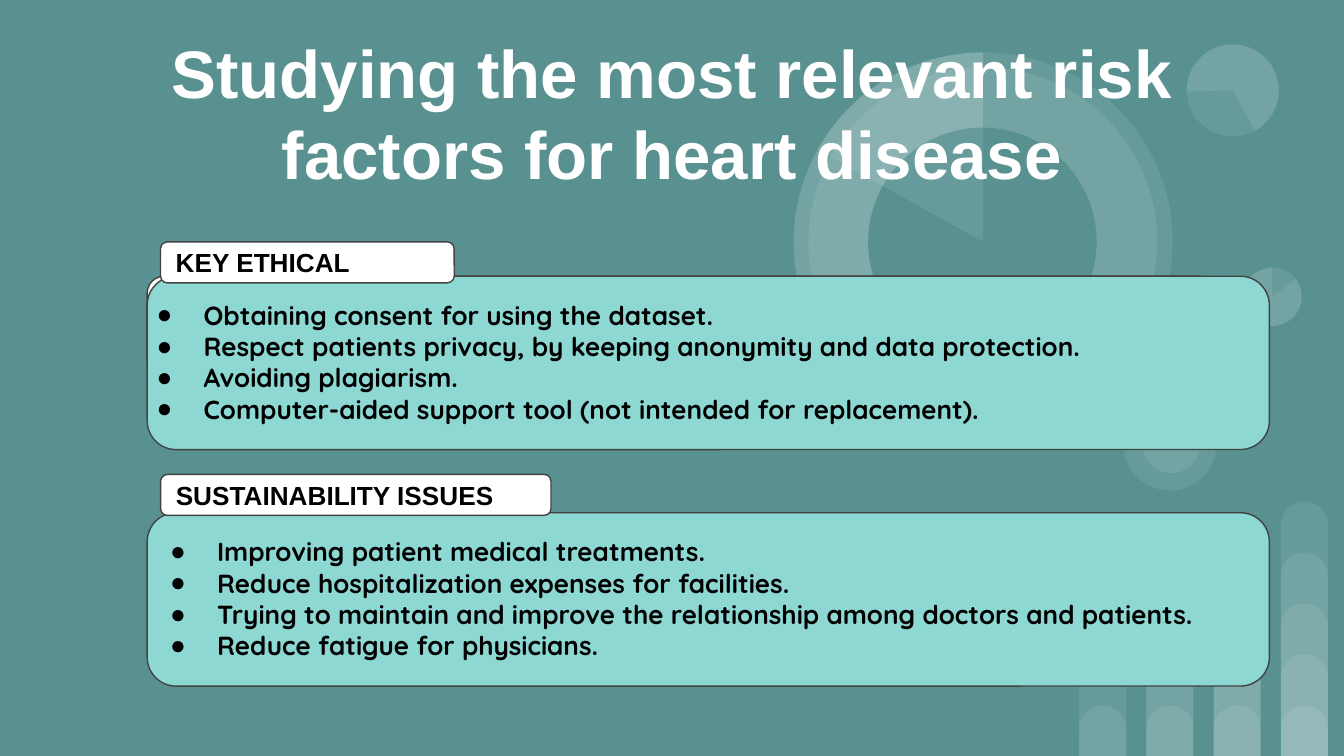
from lxml.etree import SubElement
from pptx import Presentation
from pptx.dml.color import RGBColor
from pptx.enum.shapes import MSO_SHAPE as Kind
from pptx.enum.text import MSO_ANCHOR as Anchor, MSO_AUTO_SIZE as Fit, PP_ALIGN as Align
from pptx.oxml.ns import qn
from pptx.util import Pt

SCALE = 4572
WIDE, HIGH = 2000, 1125
TEAL, MINT, WHITE, BLACK, EDGE = "599191", "8DD8D3", "FFFFFF", "000000", "424242"


def px(n):
    """Turn px into EMU."""
    return n * SCALE


def color(code):
    """Make a colour from a hex string."""
    return RGBColor.from_string(code)


def draw(slide, kind, box, fill, line=None, alpha=None, adj=(), turn=0):
    """Add one filled preset shape."""
    shape = slide.shapes.add_shape(kind, *map(px, box))
    shape.shadow.inherit = False
    shape.rotation = turn
    shape.fill.solid()
    shape.fill.fore_color.rgb = color(fill)
    if alpha:
        tint = shape.element.spPr.find(".//" + qn("a:srgbClr"))
        SubElement(tint, qn("a:alpha"), val=str(alpha * 1000))
    if line:
        shape.line.color.rgb = color(line)
        shape.line.width = Pt(0.75)
    else:
        shape.line.fill.background()
    for i, value in enumerate(adj):
        shape.adjustments[i] = value
    return shape


def card(slide, box, fill):
    """Add an outlined rounded box."""
    return draw(slide, Kind.ROUNDED_RECTANGLE, box, fill, EDGE, adj=[0.167])


def inset(frame):
    """Set equal margins and wrapping."""
    frame.word_wrap = True
    frame.margin_left = frame.margin_right = px(20)
    frame.margin_top = frame.margin_bottom = px(20)


def style(para, name, size, code):
    """Set the bold font of a paragraph."""
    para.font.name, para.font.size, para.font.bold = name, Pt(size), True
    para.font.color.rgb = color(code)


def place(shape, box):
    """Move and size a placeholder."""
    shape.left, shape.top, shape.width, shape.height = map(px, box)


def bars(slide, left, base):
    """Draw the stacked faint bars, each column one taller."""
    for col in range(4):
        for step in range(col + 2):
            tall = 75 + 76 * step
            box = (left + 100 * col, base - tall, 70, tall)
            draw(slide, Kind.ROUND_2_SAME_RECTANGLE, box, WHITE, alpha=9, adj=[0.5, 0])


def disc(slide, x, y, size):
    """Draw a faint disc."""
    draw(slide, Kind.OVAL, (x, y, size, size), WHITE, alpha=9)


def wedge(slide, x, y, size, start, end=270, turn=0):
    """Draw a faint pie between two angles in degrees."""
    adj = [start * 0.6, end * 0.6]
    draw(slide, Kind.PIE, (x, y, size, size), WHITE, alpha=9, adj=adj, turn=turn)


def pies(slide):
    """Draw the small pies."""
    for x, y, size, start, end, turn in [
        (1850, 398, 87, 322.95, 270, 0),
        (1416, 762, 70, 322.95, 270, 196.2),
        (1672, 592, 138, 137.41, 270.77, 90),
        (1766, 66, 137, 322.95, 205.23, 215.9),
    ]:
        disc(slide, x, y, size)
        wedge(slide, x, y, size, start, end, turn)
    disc(slide, 1700, 618, 86)


def ring(slide, x, y, size):
    """Draw the large ring with its wedges."""
    disc(slide, x, y, size)
    disc(slide, x + 22, y + 22, size - 45)
    wedge(slide, x, y, size, 146.69)
    draw(slide, Kind.OVAL, (x + 111, y + 112, 340, 340), TEAL)
    wedge(slide, x, y, size, 209.23)


def head(slide, box, text):
    """Fill the title and bring it forward."""
    title = slide.shapes.title
    place(title, box)
    frame = title.text_frame
    frame.text = text
    inset(frame)
    frame.auto_size = Fit.NONE
    frame.vertical_anchor = Anchor.MIDDLE
    para = frame.paragraphs[0]
    para.alignment = Align.CENTER
    style(para, "Arial", 36, WHITE)
    title.element.getparent().append(title.element)


def bullet(para):
    """Give a paragraph a hanging round bullet."""
    props = para._p.get_or_add_pPr()
    props.set("marL", str(px(100)))
    props.set("indent", str(px(-70)))
    tint = SubElement(props, qn("a:buClr"))
    SubElement(tint, qn("a:srgbClr"), val=BLACK)
    SubElement(props, qn("a:buChar"), char="●")


def points(body, box, lines):
    """Fill a body placeholder with bullets."""
    place(body, box)
    frame = body.text_frame
    frame.text = "\n".join(lines)
    inset(frame)
    frame.auto_size = Fit.SHAPE_TO_FIT_TEXT
    for para in frame.paragraphs:
        para.space_before = Pt(0)
        style(para, "Quicksand", 14, BLACK)
        bullet(para)
    body.element.getparent().append(body.element)


def label(slide, box, text):
    """Add a white heading tab."""
    frame = card(slide, box, WHITE).text_frame
    frame.text = text
    inset(frame)
    frame.vertical_anchor = Anchor.MIDDLE
    para = frame.paragraphs[0]
    para.alignment = Align.LEFT
    style(para, "Arial", 14, BLACK)


def panel(slide, box, body, shift, span, name, rise, width, lines):
    """Draw a mint panel with its list and tab."""
    x, y, _, _ = box
    card(slide, box, MINT)
    points(body, (x - shift, y + 14, span, 228), lines)
    label(slide, (x + 20, y - rise, width, 61), name)


def main():
    """Build and save the slide."""
    deck = Presentation()
    deck.slide_width, deck.slide_height = px(WIDE), px(HIGH)
    slide = deck.slides.add_slide(deck.slide_layouts[3])
    slide.background.fill.solid()
    slide.background.fill.fore_color.rgb = color(TEAL)
    bars(slide, 1606, HIGH)
    pies(slide)
    ring(slide, 1181, 78, 564)
    head(slide, (165, 16, 1670, 302), "Studying the most relevant risk factors for heart disease")
    card(slide, (219, 411, 1590, 152), WHITE)
    first, second = slide.placeholders[1], slide.placeholders[2]
    panel(slide, (219, 411, 1670, 258), first, 36, 1526, "KEY ETHICAL", 51, 437, [
        "Obtaining consent for using the dataset.",
        "Respect patients privacy, by keeping anonymity and data protection.",
        "Avoiding plagiarism.",
        "Computer-aided support tool (not intended for replacement).",
    ])
    panel(slide, (219, 763, 1670, 258), second, 16, 1702, "SUSTAINABILITY ISSUES", 57, 581, [
        "Improving patient medical treatments.",
        "Reduce hospitalization expenses for facilities.",
        "Trying to maintain and improve the relationship among doctors and patients.",
        "Reduce fatigue for physicians.",
    ])
    deck.save("out.pptx")


if __name__ == "__main__":
    main()
